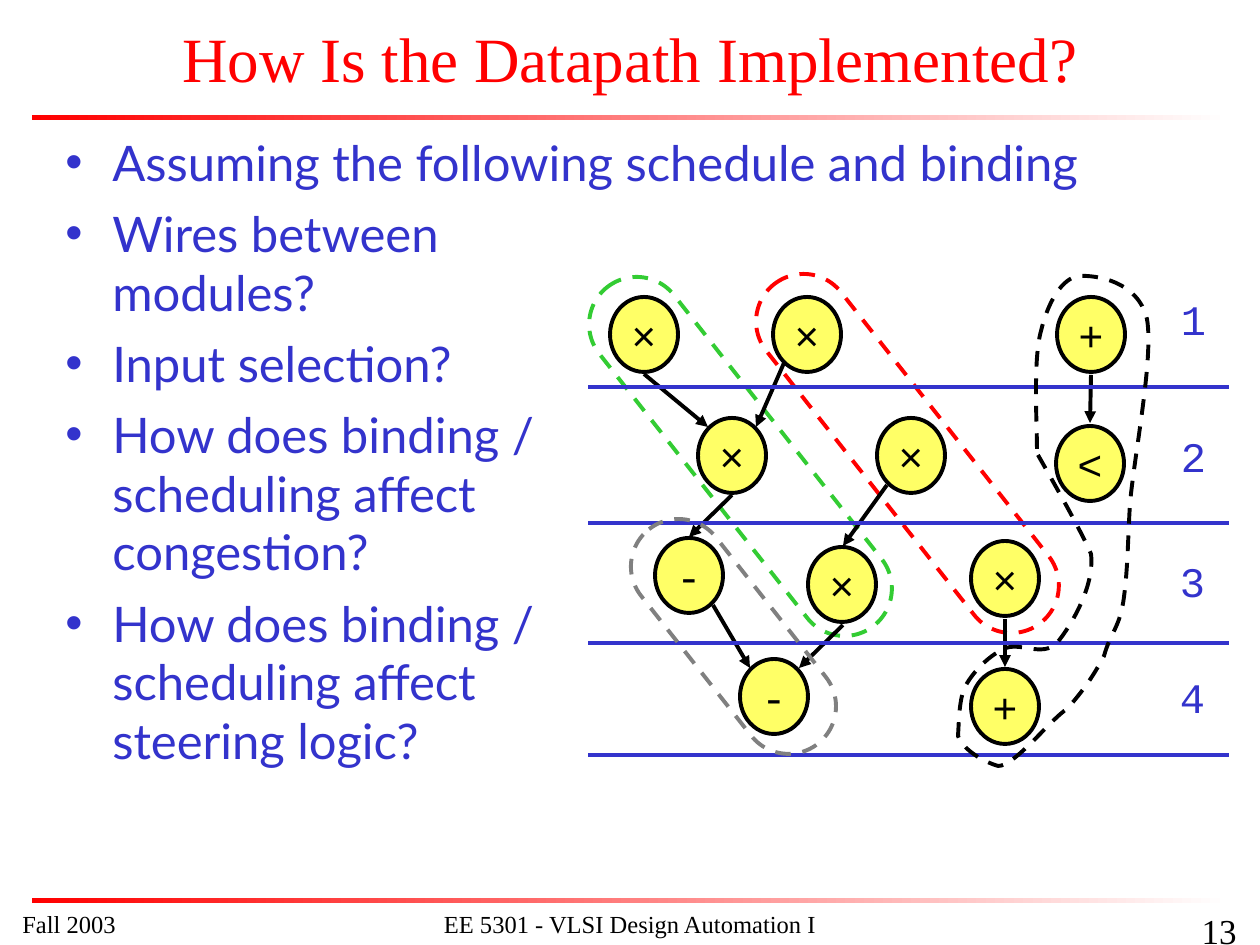
from itertools import chain

from lxml.etree import SubElement
from pptx import Presentation
from pptx.dml.color import RGBColor
from pptx.enum.dml import MSO_LINE
from pptx.enum.shapes import MSO_CONNECTOR, MSO_SHAPE
from pptx.enum.text import MSO_ANCHOR, PP_ALIGN
from pptx.oxml.ns import qn
from pptx.util import Pt

PX = 914400 / 126
RED = RGBColor(0xFF, 0x00, 0x00)
GREEN = RGBColor(0x33, 0xCC, 0x33)
BLUE = RGBColor(0x33, 0x33, 0xCC)
GRAY = RGBColor(0x80, 0x80, 0x80)
YELLOW = RGBColor(0xFF, 0xFF, 0x66)
BLACK = RGBColor(0x00, 0x00, 0x00)
WHITE = RGBColor(0xFF, 0xFF, 0xFF)

SERIF, SANS, MONO, BODY = "Times New Roman", "Arial", "Courier New", "Lato"

BULLETS = [
    "Assuming the following schedule and binding",
    "Wires between\vmodules?",
    "Input selection?",
    "How does binding /\vscheduling affect\vcongestion?",
    "How does binding /\vscheduling affect\vsteering logic?",
]
CAPSULES = [(525, 409, 431, GREEN), (692, 406, 431, RED), (597, 589, 273, GRAY)]
OPERATIONS = [
    ("×", 610, 297), ("×", 773, 297), ("+", 1057, 297),
    ("×", 698, 418), ("×", 877, 418), ("<", 1056, 426),
    ("-", 655, 538), ("×", 808, 547), ("×", 971, 541),
    ("-", 740, 659), ("+", 971, 669),
]
DEPENDENCIES = [
    (1091, 375, 1090, 423), (1005, 619, 1005, 667), (887, 485, 843, 546),
    (784, 363, 756, 427), (644, 374, 708, 427), (732, 495, 689, 537),
    (843, 625, 799, 668), (713, 605, 750, 668),
]
STEP_LINES = [387, 523, 643, 755]
STEP_LABELS = [("1", 1181, 294), ("2", 1181, 431), ("3", 1180, 556), ("4", 1180, 672)]
ADDER_START = (1037, 449)
ADDER_CURVES = [
    ((1037, 423), (1033, 360), (1041, 331)),
    ((1048, 302), (1062, 278), (1079, 276)),
    ((1096, 275), (1138, 281), (1147, 319)),
    ((1154, 357), (1134, 457), (1130, 504)),
    ((1128, 536), (1128, 567), (1124, 597)),
    ((1120, 628), (1111, 631), (1104, 656)),
    ((1094, 675), (1084, 690), (1067, 709)),
    ((1051, 719), (1014, 767), (998, 766)),
    ((984, 762), (963, 750), (958, 736)),
    ((959, 721), (959, 703), (964, 689)),
    ((971, 674), (988, 656), (1004, 649)),
    ((1019, 641), (1042, 658), (1057, 643)),
    ((1071, 626), (1095, 586), (1091, 554)),
    ((1082, 532), (1047, 471), (1038, 455)),
]


def px(*lengths):
    return [round(n * PX) for n in lengths]


def write(p, text, size, font, color, align=PP_ALIGN.LEFT):
    p.text = text
    p.alignment = align
    for r in p.runs:
        for name, value in {"size": Pt(size), "name": font}.items():
            setattr(r.font, name, value)
        r.font.color.rgb = color


def set_frame(tf, wrap=True, anchor=MSO_ANCHOR.TOP, inset=None):
    values = {"word_wrap": wrap, "vertical_anchor": anchor}
    if inset is not None:
        for side in ("left", "right", "top", "bottom"):
            values[f"margin_{side}"] = inset
    for name, value in values.items():
        setattr(tf, name, value)


def add_text(s, box, text, size, font, color, align=PP_ALIGN.LEFT, inset=None):
    tf = s.shapes.add_textbox(*px(*box)).text_frame
    set_frame(tf, inset=inset)
    write(tf.paragraphs[0], text, size, font, color, align)


def set_title(s, text):
    sp = s.shapes.title
    for name, value in zip(("left", "top", "width", "height"), px(0, 10, 1260, 95)):
        setattr(sp, name, value)
    set_frame(sp.text_frame, anchor=MSO_ANCHOR.MIDDLE)
    write(sp.text_frame.paragraphs[0], text, 36, SERIF, RED, PP_ALIGN.CENTER)


def add_bullets(s):
    tf = s.shapes.add_textbox(*px(53, 126, 1155, 766)).text_frame
    set_frame(tf)
    for i, text in enumerate(BULLETS):
        p = tf.add_paragraph() if i else tf.paragraphs[0]
        write(p, text, 28, BODY, BLUE)
        p.space_before = Pt(7)
        pPr = p._p.get_or_add_pPr()
        indent, = px(47)
        pPr.set("marL", str(indent))
        pPr.set("indent", str(-indent))
        SubElement(pPr, qn("a:buFont"), typeface=SANS)
        SubElement(pPr, qn("a:buChar"), char="•")


def add_bar(s, y):
    """Horizontal rule fading from red to white."""
    sp = s.shapes.add_shape(MSO_SHAPE.RECTANGLE, *px(32, y, 1197, 5))
    sp.shadow.inherit = False
    sp.line.fill.background()
    sp.fill.gradient()
    sp.fill.gradient_angle = 0
    for stop, color in zip(sp.fill.gradient_stops, (RED, WHITE)):
        stop.color.rgb = color


def outline(sp, color, dashed=False):
    sp.line.color.rgb = color
    sp.line.width = Pt(2.25)
    if dashed:
        sp.line.dash_style = MSO_LINE.DASH


def add_capsule(s, x, y, length, color):
    sp = s.shapes.add_shape(MSO_SHAPE.ROUNDED_RECTANGLE, *px(x, y, length, 95))
    sp.adjustments[0] = 0.5
    sp.rotation = 51.8
    sp.shadow.inherit = False
    sp.fill.background()
    outline(sp, color, dashed=True)


def add_operation(s, symbol, x, y):
    sp = s.shapes.add_shape(MSO_SHAPE.OVAL, *px(x, y, 68, 75))
    sp.shadow.inherit = False
    sp.fill.solid()
    sp.fill.fore_color.rgb = YELLOW
    outline(sp, BLACK)
    set_frame(sp.text_frame, wrap=False, anchor=MSO_ANCHOR.MIDDLE)
    font = SANS if symbol == "×" else MONO
    write(sp.text_frame.paragraphs[0], symbol, 24, font, BLACK, PP_ALIGN.CENTER)


def add_line(s, ends, color, arrow=False):
    sp = s.shapes.add_connector(MSO_CONNECTOR.STRAIGHT, *px(*ends))
    outline(sp, color)
    if arrow:
        SubElement(sp.line._get_or_add_ln(), qn("a:tailEnd"), type="triangle")
    SubElement(sp._element.spPr, qn("a:effectLst"))


def add_adder_outline(s):
    """Open freeform whose segments, taken by threes, become cubic curves."""
    builder = s.shapes.build_freeform(*px(*ADDER_START))
    points = [px(*point) for point in chain(*ADDER_CURVES)]
    builder.add_line_segments(points, close=False)
    sp = builder.convert_to_shape()
    segments = list(sp._element.iter(qn("a:lnTo")))
    outline_path = segments[0].getparent()
    for i in range(0, len(segments), 3):
        curve = SubElement(outline_path, qn("a:cubicBezTo"))
        for segment in segments[i:i + 3]:
            curve.append(segment[0])
            outline_path.remove(segment)
    sp.shadow.inherit = False
    sp.fill.background()
    outline(sp, BLACK, dashed=True)


def main():
    prs = Presentation()
    prs.slide_width, prs.slide_height = px(1260, 945)
    s = prs.slides.add_slide(prs.slide_layouts[5])
    for y in (115, 898):
        add_bar(s, y)
    for capsule in CAPSULES[:2]:
        add_capsule(s, *capsule)
    set_title(s, "How Is the Datapath Implemented?")
    add_bullets(s)
    for operation in OPERATIONS:
        add_operation(s, *operation)
    for text, x, y in STEP_LABELS:
        add_text(s, (x, y, 34, 50), text, 24, MONO, BLUE, inset=0)
    for ends in DEPENDENCIES:
        add_line(s, ends, BLACK, arrow=True)
    for y in STEP_LINES:
        add_line(s, (1229, y, 588, y), BLUE)
    add_capsule(s, *CAPSULES[2])
    add_adder_outline(s)
    add_text(s, (399, 903, 462, 42), "EE 5301 - VLSI Design Automation I",
             14, SERIF, BLACK, PP_ALIGN.CENTER)
    add_text(s, (987, 903, 262, 32), "13", 20, SERIF, BLACK, PP_ALIGN.RIGHT)
    add_text(s, (10, 903, 262, 32), "Fall 2003", 14, SERIF, BLACK)
    prs.save("out.pptx")


if __name__ == "__main__":
    main()
